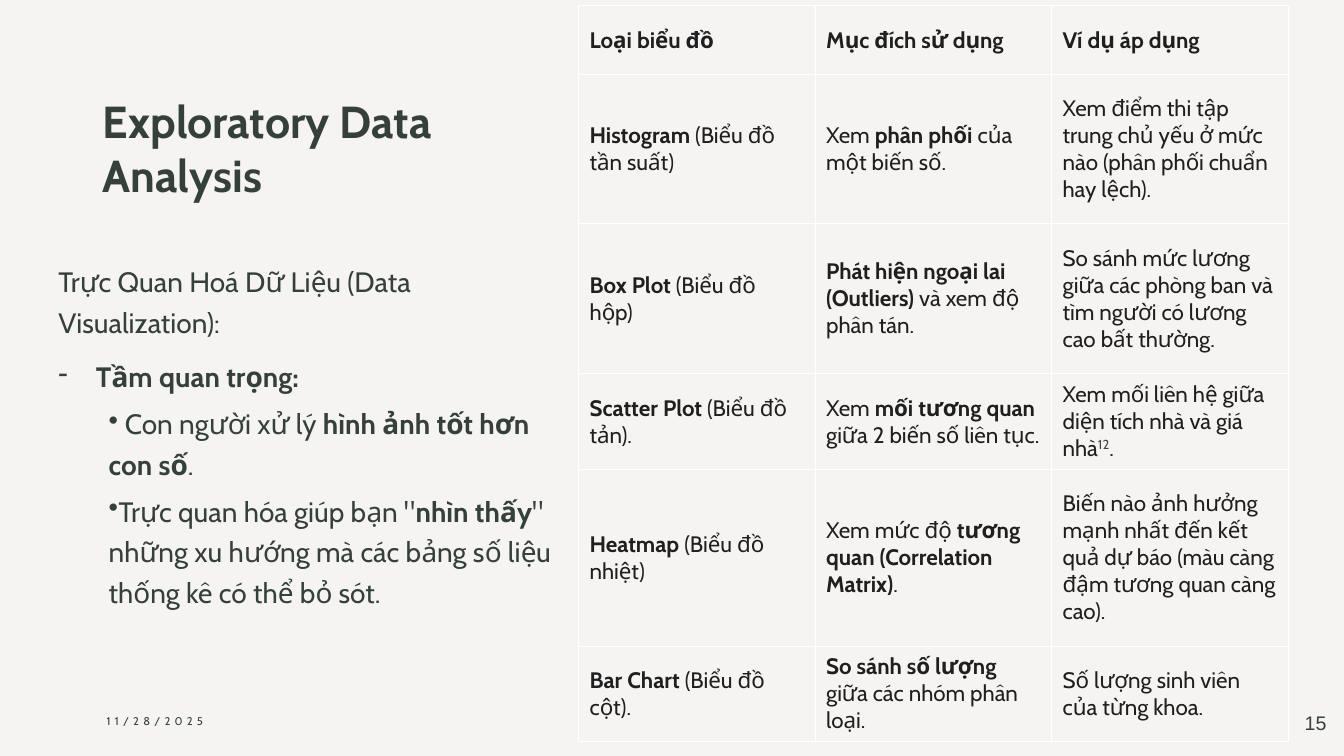
"""Build the slide on exploratory data analysis and its chart types."""
from dataclasses import dataclass
from typing import Any

from lxml import etree
from pptx import Presentation
from pptx.dml.color import RGBColor
from pptx.enum import text
from pptx.oxml import ns
from pptx.util import Cm, Pt

COLORS = {"paper": "F6F4F2", "green": "35403A", "ink": "1F1F1F",
          "note": "444746", "line": "FFFFFF"}
FONT = "Cabin"


@dataclass(frozen=True)
class Run:
    text: str
    bold: bool = False
    raised: bool = False


@dataclass(frozen=True)
class Bullet:
    runs: list[Run]
    char: str = ""
    left: float = 0
    hanging: float = 0
    before: float = 10


@dataclass(frozen=True)
class Label:
    text: str
    box: tuple[float, float, float, float]
    size: float
    font: str = FONT
    align: text.PP_ALIGN = text.PP_ALIGN.LEFT
    spacing: float = 0


def bold(words: str) -> Run:
    return Run(words, bold=True)


BULLETS = [
    Bullet([Run("Trực Quan Hoá Dữ Liệu (Data Visualization):")]),
    Bullet([bold("Tầm quan trọng:")], "-", 0.95, 0.95),
    Bullet([Run(" Con người xử lý "), bold("hình ảnh tốt hơn con số"), Run(".")],
           "•", 1.27, before=5),
    Bullet([Run('Trực quan hóa giúp bạn "'), bold("nhìn thấy"),
            Run('" những xu hướng mà các bảng số liệu thống kê có thể bỏ sót.')],
           "•", 1.27, before=5),
]

LABELS = [
    Label("11/28/2025", (2.44, 17.65, 7.62, 1.02), 8, spacing=3),
    Label("15", (31.98, 17.7, 1.7, 1.02), 14, "Arial", text.PP_ALIGN.RIGHT),
]

COLUMN_WIDTH = 5.96
ROW_HEIGHTS = [1.73, 3.76, 3.78, 2.41, 4.45, 2.41]
CHART_TYPES = [
    [[bold("Loại biểu đồ")], [bold("Mục đích sử dụng")], [bold("Ví dụ áp dụng")]],
    [[bold("Histogram"), Run(" (Biểu đồ tần suất)")],
     [Run("Xem "), bold("phân phối"), Run(" của một biến số.")],
     [Run("Xem điểm thi tập trung chủ yếu ở mức nào (phân phối chuẩn hay lệch).")]],
    [[bold("Box Plot"), Run(" (Biểu đồ hộp)")],
     [bold("Phát hiện ngoại lai (Outliers)"), Run(" và xem độ phân tán.")],
     [Run("So sánh mức lương giữa các phòng ban và tìm người có lương cao bất thường.")]],
    [[bold("Scatter Plot"), Run(" (Biểu đồ tản).")],
     [Run("Xem "), bold("mối tương quan"), Run(" giữa 2 biến số liên tục.")],
     [Run("Xem mối liên hệ giữa diện tích nhà và giá nhà"), Run("12", raised=True),
      Run(".")]],
    [[bold("Heatmap"), Run(" (Biểu đồ nhiệt)")],
     [Run("Xem mức độ "), bold("tương quan (Correlation Matrix)"), Run(".")],
     [Run("Biến nào ảnh hưởng mạnh nhất đến kết quả dự báo "
          "(màu càng đậm tương quan càng cao).")]],
    [[bold("Bar Chart"), Run(" (Biểu đồ cột).")],
     [bold("So sánh số lượng"), Run(" giữa các nhóm phân loại.")],
     [Run("Số lượng sinh viên của từng khoa.")]],
]


def add_run(p: Any, run: Run, size: float, color: str, font: str = FONT) -> Any:
    r = p.add_run()
    r.text = run.text
    r.font.name, r.font.size, r.font.bold = font, Pt(size), run.bold
    r.font.color.rgb = RGBColor.from_string(COLORS["note" if run.raised else color])
    if run.raised:
        r.font._element.set("baseline", "30000")
    return r


def add_title(slide: Any, lines: list[str]) -> None:
    sp = slide.shapes.title
    sp.left, sp.top, sp.width, sp.height = map(Cm, (2.34, 2.24, 9.65, 5.74))
    tf = sp.text_frame
    tf.auto_size = text.MSO_AUTO_SIZE.NONE
    tf.vertical_anchor = text.MSO_ANCHOR.TOP
    p = tf.paragraphs[0]
    p.alignment = text.PP_ALIGN.LEFT
    for i, line in enumerate(lines):
        if i:
            p.add_line_break()
        add_run(p, bold(line), 32, "green")


def add_bullets(slide: Any, bullets: list[Bullet]) -> None:
    tf = slide.shapes.add_textbox(Cm(1.22), Cm(5.13), Cm(13.18), Cm(11.4)).text_frame
    tf.word_wrap = True
    tf.vertical_anchor = text.MSO_ANCHOR.BOTTOM
    tf.margin_bottom = Cm(1.19)
    for i, bullet in enumerate(bullets):
        p = tf.add_paragraph() if i else tf.paragraphs[0]
        p.line_spacing, p.space_before = 1.2, Pt(bullet.before)
        if bullet.char:
            props = p._p.get_or_add_pPr()
            props.set("marL", str(Cm(bullet.left)))
            props.set("indent", str(-Cm(bullet.hanging)))
            etree.SubElement(props, ns.qn("a:buChar")).set("char", bullet.char)
        for run in bullet.runs:
            add_run(p, run, 20, "green")


def set_borders(cell: Any) -> None:
    props = cell._tc.get_or_add_tcPr()
    for side in ("lnL", "lnR", "lnT", "lnB"):
        line = etree.SubElement(props, ns.qn(f"a:{side}"), w=str(Pt(0.75)))
        fill = etree.SubElement(line, ns.qn("a:solidFill"))
        etree.SubElement(fill, ns.qn("a:srgbClr"), val=COLORS["line"])


def add_chart_types(slide: Any, rows: list[list[list[Run]]]) -> None:
    columns = len(rows[0])
    frame = slide.shapes.add_table(len(rows), columns, Cm(14.58), Cm(0.15),
                                   Cm(COLUMN_WIDTH * columns), Cm(sum(ROW_HEIGHTS)))
    table = frame.table
    table.first_row = table.horz_banding = False
    for column in table.columns:
        column.width = Cm(COLUMN_WIDTH)
    for i, (row, height) in enumerate(zip(rows, ROW_HEIGHTS)):
        table.rows[i].height = Cm(height)
        for j, runs in enumerate(row):
            cell = table.cell(i, j)
            cell.vertical_anchor = text.MSO_ANCHOR.MIDDLE
            cell.margin_left = cell.margin_right = Cm(0.28)
            cell.margin_top = cell.margin_bottom = Cm(0.18)
            set_borders(cell)
            cell.fill.background()
            for run in runs:
                add_run(cell.text_frame.paragraphs[0], run, 16, "ink")


def add_label(slide: Any, label: Label) -> None:
    tf = slide.shapes.add_textbox(*map(Cm, label.box)).text_frame
    tf.word_wrap = True
    tf.vertical_anchor = text.MSO_ANCHOR.MIDDLE
    p = tf.paragraphs[0]
    p.alignment = label.align
    r = add_run(p, Run(label.text), label.size, "green", label.font)
    if label.spacing:
        r.font._element.set("spc", str(int(label.spacing * 100)))


def main() -> None:
    prs = Presentation()
    prs.slide_width, prs.slide_height = Cm(33.87), Cm(19.05)
    slide = prs.slides.add_slide(prs.slide_layouts[5])
    fill = slide.background.fill
    fill.solid()
    fill.fore_color.rgb = RGBColor.from_string(COLORS["paper"])
    add_title(slide, ["Exploratory Data", "Analysis"])
    add_chart_types(slide, CHART_TYPES)
    add_bullets(slide, BULLETS)
    for label in LABELS:
        add_label(slide, label)
    prs.save("out.pptx")


if __name__ == "__main__":
    main()
